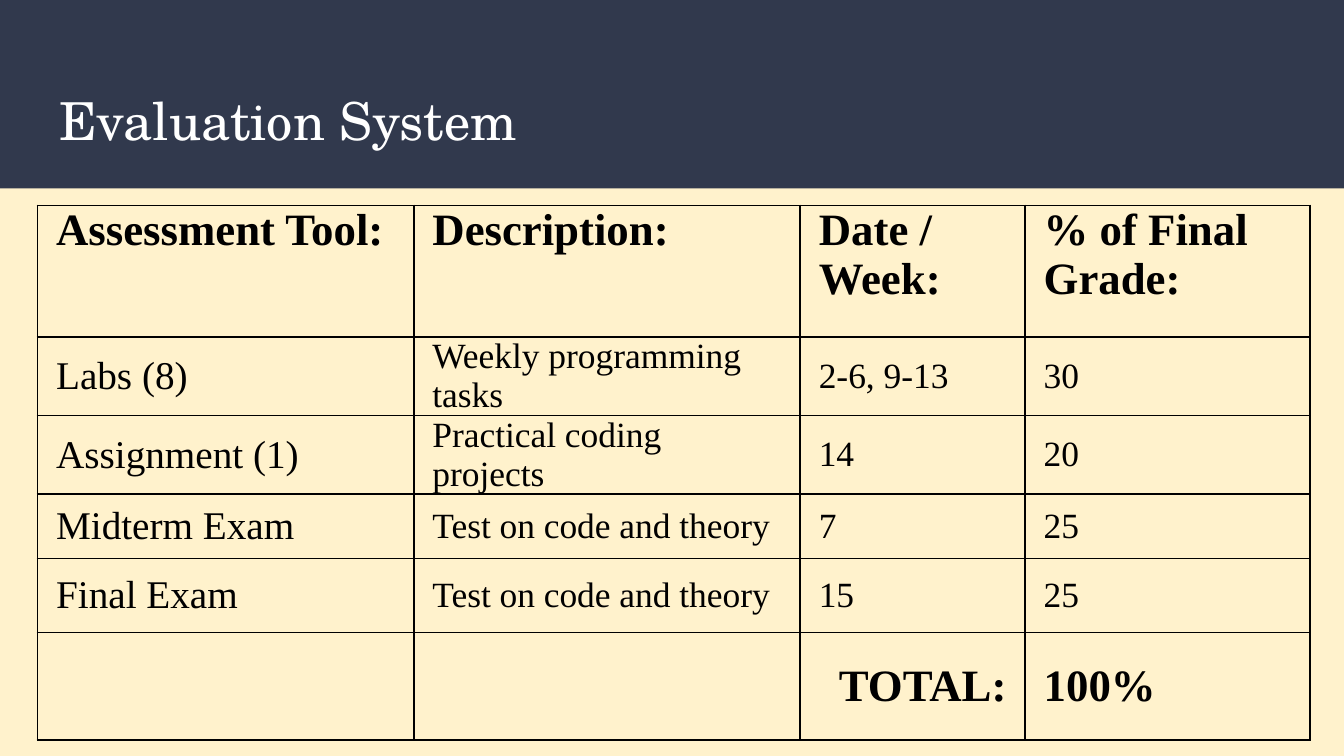
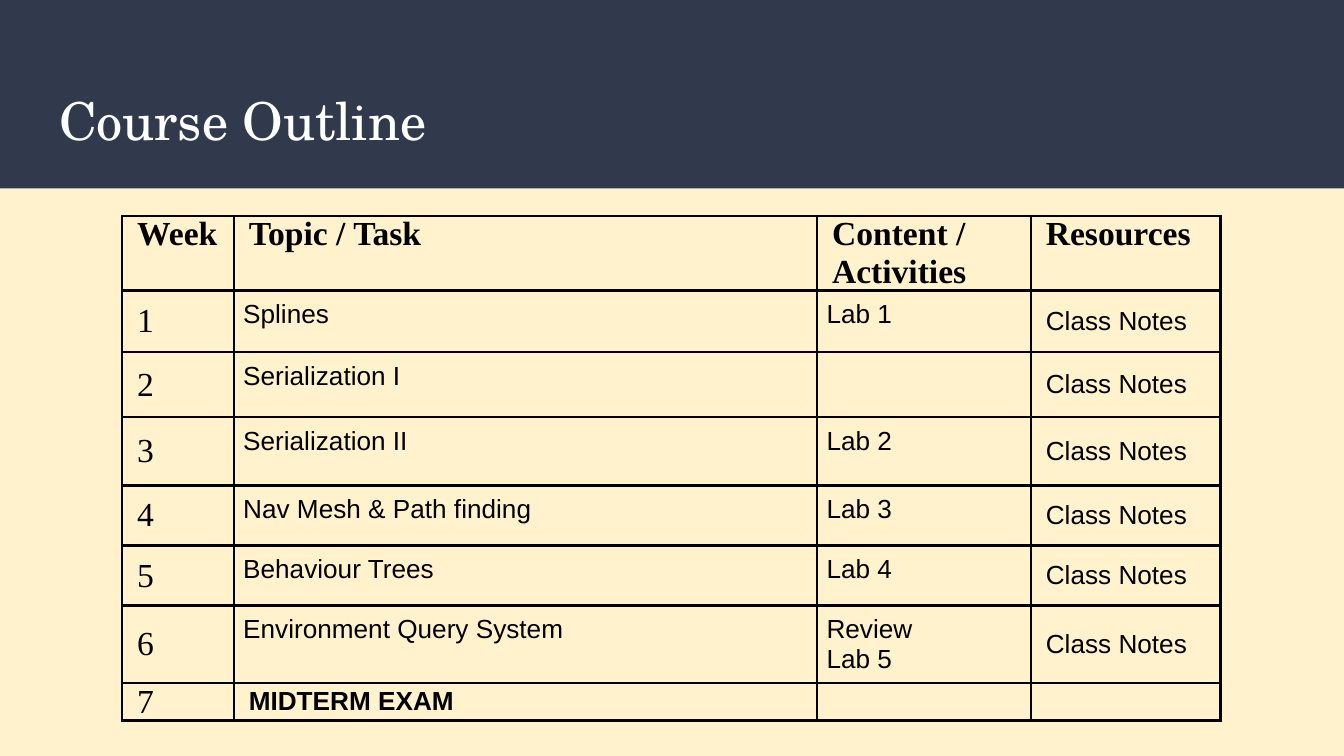
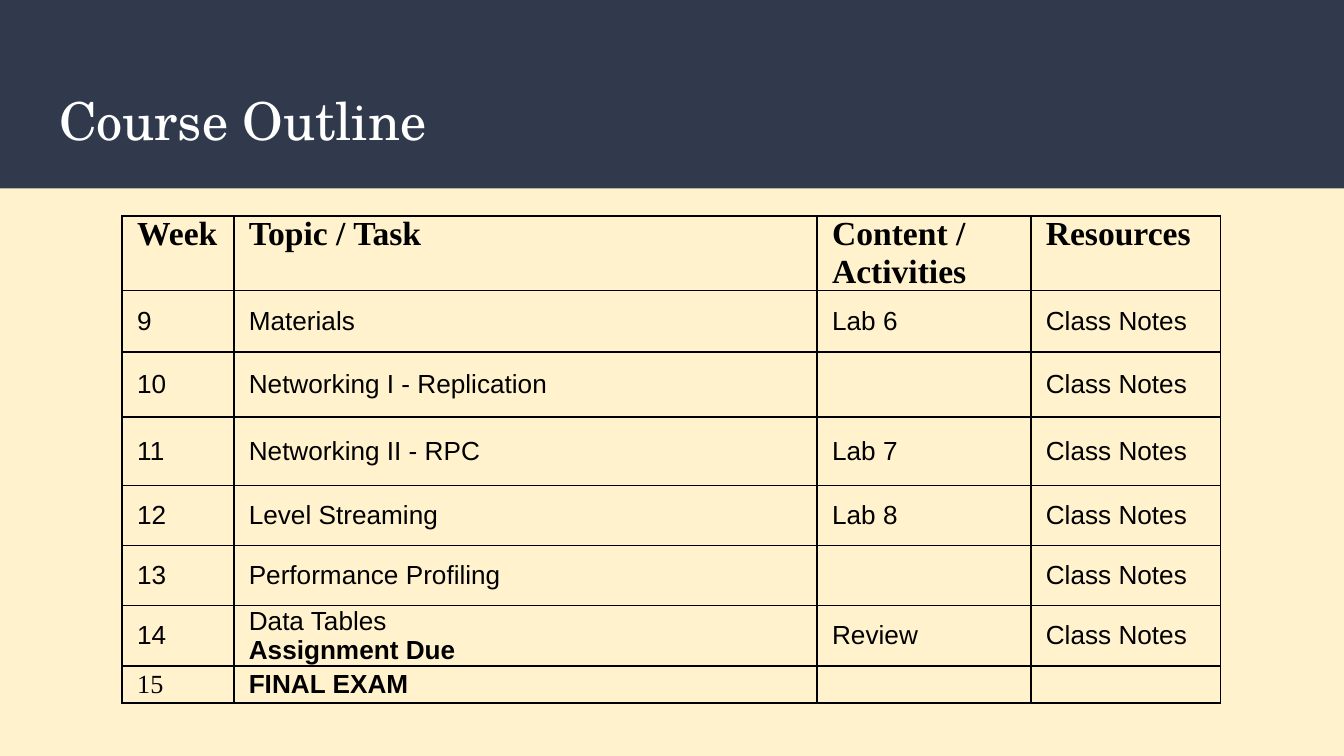
"""Build three course slides: the evaluation system and a two-part course outline."""
from collections import namedtuple

from lxml import etree
from pptx import Presentation
from pptx.dml.color import RGBColor
from pptx.enum import shapes, text
from pptx.oxml import ns
from pptx.util import Pt

COLOURS = {"page": "FFF2CC", "band": "31394D", "title": "FFFFFF", "ink": "000000"}
TITLE_FONT, SERIF, SANS = "TeX Gyre Schola", "Times New Roman", "Arial"
SLIDE_SIZE = (720, 405)
BAND_HEIGHT = 101
TITLE_BOX = (24.5, 39.6, 671, 49)
TITLE_INSET = 7.2
HANGING = 18

Style = namedtuple("Style", "font size bold middle inset hanging align",
                   defaults=(False, True, None, False, text.PP_ALIGN.LEFT))
STYLES = {
    "header": Style(SERIF, 24, True, False),
    "tool": Style(SERIF, 21),
    "detail": Style(SERIF, 19),
    "total": Style(SERIF, 24, True),
    "total label": Style(SERIF, 24, True, align=text.PP_ALIGN.RIGHT),
    "heading": Style(SERIF, 18, True, False),
    "week": Style(SERIF, 18),
    "exam week": Style(SERIF, 14),
    "topic": Style(SANS, 14, middle=False, inset=5),
    "lab": Style(SANS, 14, middle=False, inset=5, hanging=True),
    "note": Style(SANS, 14),
    "strong": Style(SANS, 14, True),
    "empty": Style(SERIF, 18),
}

OUTLINE_HEADER = ["Week", "Topic / Task", "Content / Activities", "Resources"]
OUTLINE_GRID = {
    "corner": (65.5, 115.7),
    "columns": [59.8, 312.5, 114.5, 101.5],
    "heights": [33.1, 33.1, 34.8, 36.7, 32.2, 32.2, 32.2, 16.6],
    "inset": 8,
    "header": "heading",
}
NOTES = "Class Notes"

SLIDES = [
    {
        "title": "Evaluation System",
        "corner": (20.1, 110),
        "columns": [201.6, 207, 120.5, 152.6],
        "heights": [70.6, 36, 36, 34.6, 39.6, 57.6],
        "inset": 10,
        "border": 1,
        "header": "header",
        "body": ["tool", "detail", "detail", "detail"],
        "special": {(5, 2): ["total label"], (5, 3): ["total"]},
        "rows": [
            ["Assessment Tool:", "Description:", "Date / Week:", "% of Final Grade:"],
            ["Labs (8)", "Weekly programming tasks", "2-6, 9-13", "30"],
            ["Assignment (1)", "Practical coding projects", "14", "20"],
            ["Midterm Exam", "Test on code and theory", "7", "25"],
            ["Final Exam", "Test on code and theory", "15", "25"],
            ["", "", "TOTAL:", "100%"],
        ],
    },
    {
        **OUTLINE_GRID,
        "title": "Course Outline",
        "border": 1.5,
        "body": ["week", "topic", "lab", "note"],
        "special": {(7, 1): ["strong"]},
        "rows": [
            OUTLINE_HEADER,
            ["1", "Splines", "Lab 1", NOTES],
            ["2", "Serialization I", "", NOTES],
            ["3", "Serialization II", "Lab 2", NOTES],
            ["4", "Nav Mesh & Path finding", "Lab 3", NOTES],
            ["5", "Behaviour Trees", "Lab 4", NOTES],
            ["6", "Environment Query System", "Review\nLab 5", NOTES],
            ["7", "MIDTERM EXAM", "", ""],
        ],
    },
    {
        **OUTLINE_GRID,
        "title": "Course Outline",
        "border": 1,
        "body": ["note"] * 4,
        "special": {(6, 1): ["note", "strong"], (7, 0): ["exam week"], (7, 1): ["strong"]},
        "rows": [
            OUTLINE_HEADER,
            ["9", "Materials", "Lab 6", NOTES],
            ["10", "Networking I - Replication", "", NOTES],
            ["11", "Networking II - RPC", "Lab 7", NOTES],
            ["12", "Level Streaming", "Lab 8", NOTES],
            ["13", "Performance Profiling", "", NOTES],
            ["14", "Data Tables\nAssignment Due", "Review", NOTES],
            ["15", "FINAL EXAM", "", ""],
        ],
    },
]


def colour(name):
    return RGBColor.from_string(COLOURS[name])


def add_run(paragraph, words, font, size, ink, bold=False):
    run = paragraph.add_run()
    run.text = words
    run.font.name, run.font.size, run.font.bold = font, Pt(size), bold
    run.font.color.rgb = colour(ink)


def set_insets(target, side, vertical):
    target.margin_left = target.margin_right = Pt(side)
    target.margin_top = target.margin_bottom = Pt(vertical)


def add_band(slide, layout):
    """Draw the header band and hand it to the shared layout."""
    band = slide.shapes.add_shape(shapes.MSO_SHAPE.RECTANGLE, 0, 0, Pt(SLIDE_SIZE[0]), Pt(BAND_HEIGHT))
    band.shadow.inherit = False
    band.fill.solid()
    band.fill.fore_color.rgb = colour("band")
    band.line.fill.background()
    layout.shapes.element.insert(2, band.element)


def format_title(title, words):
    title.left, title.top, title.width, title.height = map(Pt, TITLE_BOX)
    frame = title.text_frame
    set_insets(frame, TITLE_INSET, TITLE_INSET)
    frame.auto_size = text.MSO_AUTO_SIZE.NONE
    frame.vertical_anchor = text.MSO_ANCHOR.MIDDLE
    frame.paragraphs[0].alignment = text.PP_ALIGN.LEFT
    add_run(frame.paragraphs[0], words, TITLE_FONT, 28, "title")


def add_borders(cell, width):
    properties = cell._tc.get_or_add_tcPr()
    for side in ("lnL", "lnR", "lnT", "lnB"):
        line = etree.SubElement(properties, ns.qn(f"a:{side}"), w=str(Pt(width)))
        fill = etree.SubElement(line, ns.qn("a:solidFill"))
        etree.SubElement(fill, ns.qn("a:srgbClr"), val=COLOURS["ink"])


def size_empty(paragraph, style):
    end = etree.SubElement(paragraph._p, ns.qn("a:endParaRPr"), sz=str(style.size * 100))
    etree.SubElement(end, ns.qn("a:latin"), typeface=style.font)


def fill_cell(cell, words, styles, side_inset):
    first = styles[0]
    if first.inset is None:
        set_insets(cell, side_inset, 0)
    else:
        set_insets(cell, first.inset, first.inset)
    cell.vertical_anchor = text.MSO_ANCHOR.MIDDLE if first.middle else text.MSO_ANCHOR.TOP
    frame = cell.text_frame
    for index, line in enumerate(words.split("\n")):
        paragraph = frame.add_paragraph() if index else frame.paragraphs[0]
        style = styles[min(index, len(styles) - 1)]
        paragraph.alignment = style.align
        if style.hanging:
            properties = paragraph._p.get_or_add_pPr()
            properties.set("marL", str(Pt(HANGING)))
            properties.set("indent", str(Pt(-HANGING)))
        if line:
            add_run(paragraph, line, style.font, style.size, "ink", style.bold)
        else:
            size_empty(paragraph, style)


def style_names(content, row, column):
    if not content["rows"][row][column]:
        return ["empty"]
    if row == 0:
        return [content["header"]]
    return content["special"].get((row, column), [content["body"][column]])


def add_grid(slide, content):
    rows, columns, heights = content["rows"], content["columns"], content["heights"]
    left, top = content["corner"]
    table = slide.shapes.add_table(len(rows), len(columns), Pt(left), Pt(top),
                                   Pt(sum(columns)), Pt(sum(heights))).table
    table.first_row = table.horz_banding = False
    for column, width in zip(table.columns, columns):
        column.width = Pt(width)
    for row, height in zip(table.rows, heights):
        row.height = Pt(height)
    for row, entries in enumerate(rows):
        for column, words in enumerate(entries):
            cell = table.cell(row, column)
            styles = [STYLES[name] for name in style_names(content, row, column)]
            fill_cell(cell, words, styles, content["inset"])
            add_borders(cell, content["border"])
            cell.fill.background()


def main():
    presentation = Presentation()
    presentation.slide_width, presentation.slide_height = map(Pt, SLIDE_SIZE)
    background = presentation.slide_master.background.fill
    background.solid()
    background.fore_color.rgb = colour("page")
    layout = presentation.slide_layouts[5]
    for number, content in enumerate(SLIDES):
        slide = presentation.slides.add_slide(layout)
        if number == 0:
            add_band(slide, layout)
        format_title(slide.shapes.title, content["title"])
        add_grid(slide, content)
    presentation.save("out.pptx")


if __name__ == "__main__":
    main()
